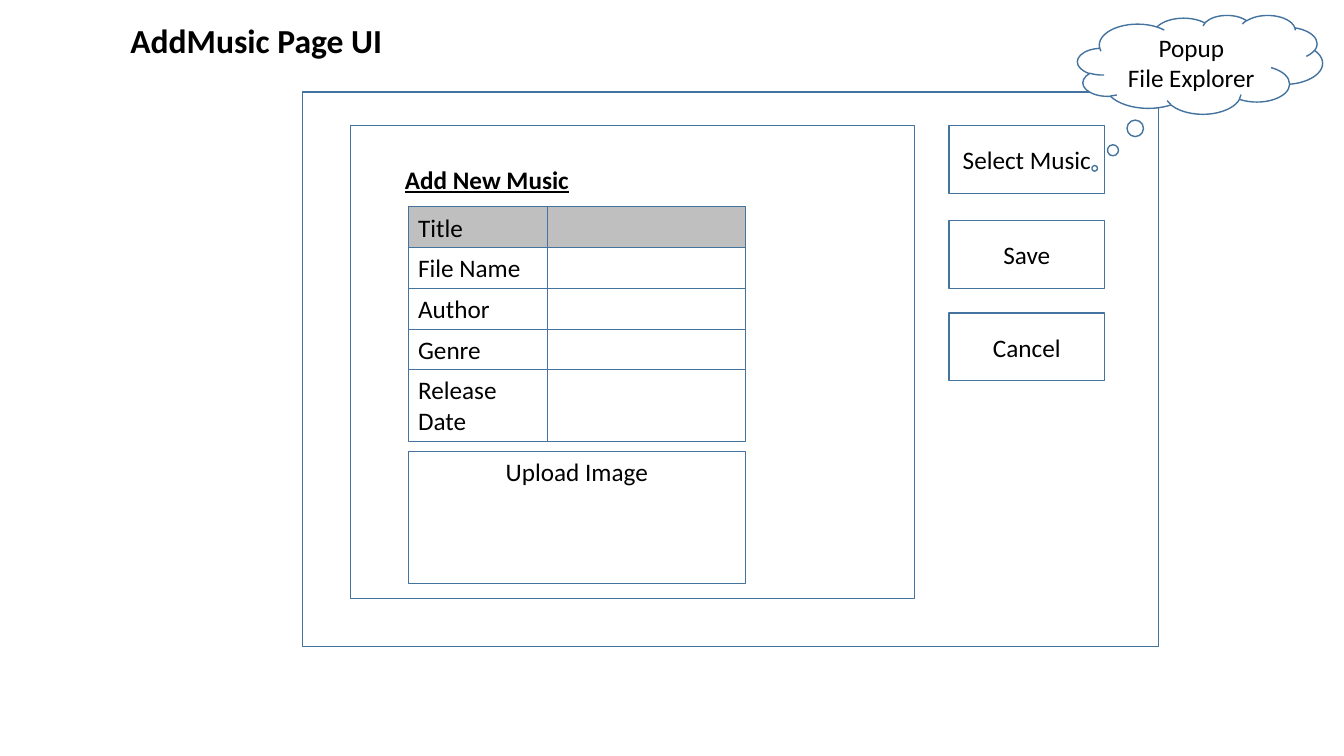
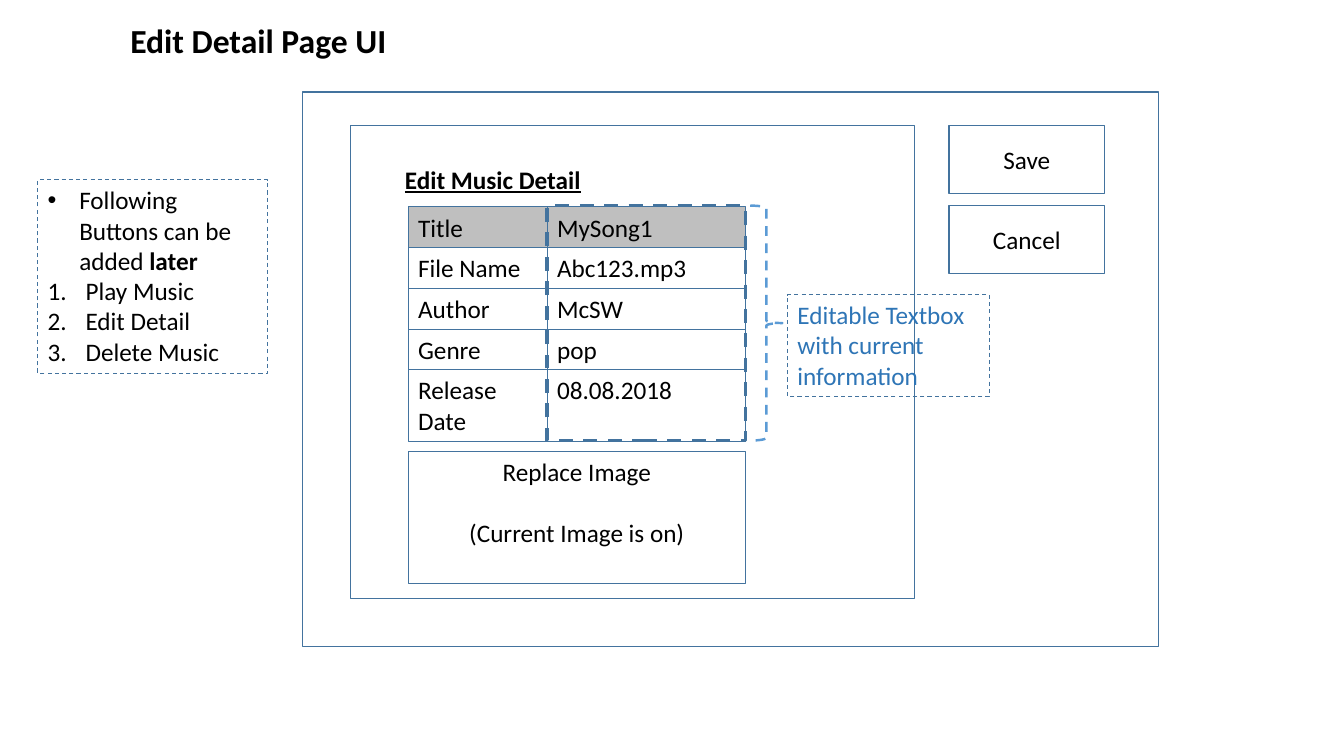
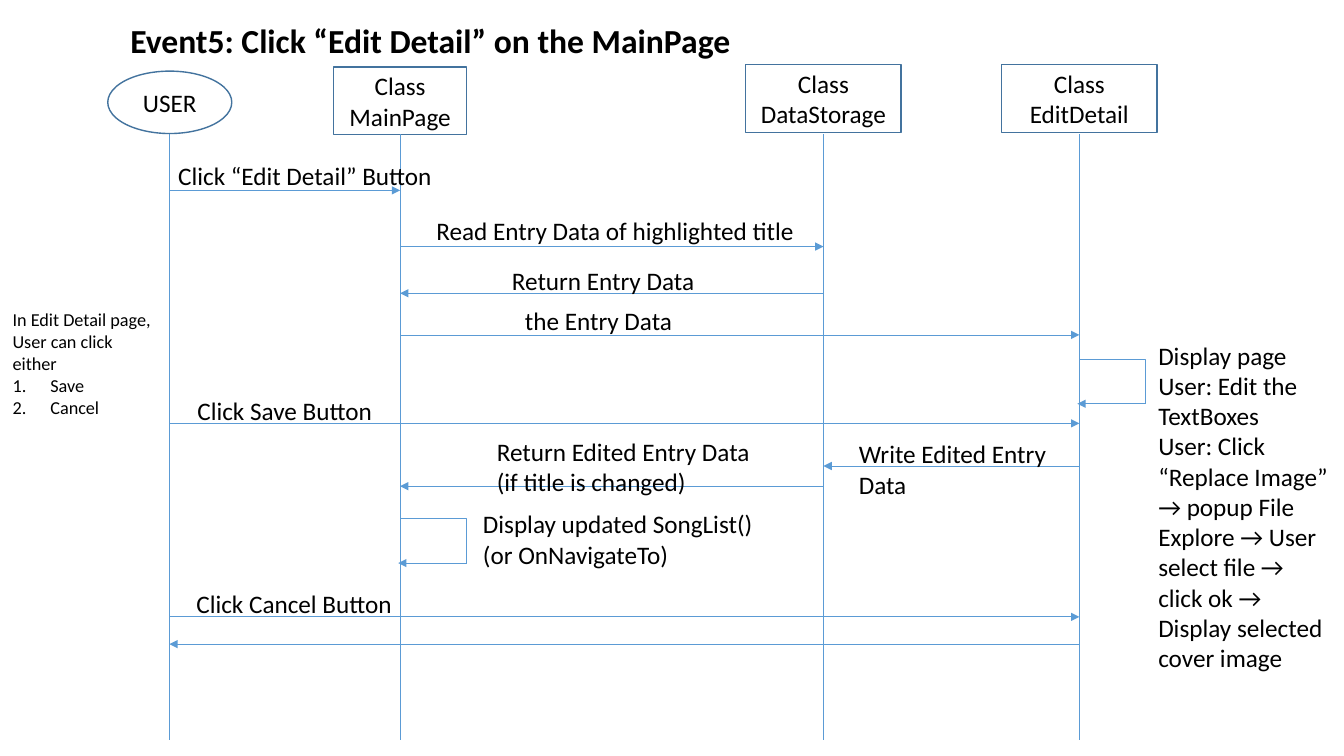
from pptx import Presentation
from pptx.dml.color import RGBColor
from pptx.enum.dml import MSO_LINE
from pptx.enum.shapes import MSO_CONNECTOR, MSO_SHAPE
from pptx.enum.text import MSO_ANCHOR, PP_ALIGN
from pptx.oxml.ns import qn
from pptx.util import Pt
from lxml import etree

BLACK = RGBColor(0x00, 0x00, 0x00)
WHITE = RGBColor(0xFF, 0xFF, 0xFF)
GREY = RGBColor(0xBF, 0xBF, 0xBF)
OUTLINE = RGBColor(0x43, 0x73, 0x9E)
ARROW_BLUE = RGBColor(0x5B, 0x9B, 0xD5)
HINT_BLUE = RGBColor(0x2E, 0x75, 0xB6)
FONT = "Calibri"

# Shared page mock-up measures
BUTTON_LEFT, BUTTON_W, BUTTON_H = 678, 111, 48.4
FORM_LEFT, FORM_TOP = 291.6, 147.8
LABEL_W, VALUE_W = 99.2, 141.6
ROW_H, LAST_ROW_H = 29.1, 50.9
FIELDS = ["Title", "File Name", "Author", "Genre", "Release Date"]

# Sequence diagram measures
USER, MAIN, STORAGE, EDIT = 121, 285.8, 588.2, 771
LIFELINE_TOP, LIFELINE_BOTTOM = 96, 528.5
LOOP_W, LOOP_H = 47.5, 32


# Text
def style_run(run, size=18, color=BLACK, bold=False, underline=False):
    font = run.font
    font.name, font.size, font.bold, font.underline = FONT, Pt(size), bold, underline
    font.color.rgb = color


def write(frame, lines, align=PP_ALIGN.LEFT, anchor=MSO_ANCHOR.TOP, **style):
    frame.word_wrap = True
    frame.vertical_anchor = anchor
    for i, line in enumerate(lines):
        paragraph = frame.paragraphs[0] if i == 0 else frame.add_paragraph()
        paragraph.alignment = align
        run = paragraph.add_run()
        run.text = line
        style_run(run, **style)
    return frame.paragraphs


def add_bullet(paragraph, indent, tag, **attributes):
    properties = paragraph._p.get_or_add_pPr()
    properties.set("marL", str(Pt(indent)))
    properties.set("indent", str(-Pt(indent)))
    if tag == "a:buChar":
        etree.SubElement(properties, qn("a:buFont"), typeface="Arial")
    etree.SubElement(properties, qn(tag), **attributes)


def number(paragraphs):
    for paragraph in paragraphs:
        add_bullet(paragraph, 27, "a:buAutoNum", type="arabicPeriod")


def add_text(slide, left, top, width, height, lines, **style):
    box = slide.shapes.add_textbox(Pt(left), Pt(top), Pt(width), Pt(height))
    return write(box.text_frame, lines, **style)


def add_title(slide, text):
    add_text(slide, 86, 10.8, 520, 36, [text], size=24, bold=True)


# Shapes and lines
def add_outline(slide, left, top, width, height, kind=MSO_SHAPE.RECTANGLE,
                weight=1, color=OUTLINE, dashed=False, fill=None):
    shape = slide.shapes.add_shape(kind, Pt(left), Pt(top), Pt(width), Pt(height))
    shape.shadow.inherit = False
    if fill is None:
        shape.fill.background()
    else:
        shape.fill.solid()
        shape.fill.fore_color.rgb = fill
    shape.line.color.rgb = color
    shape.line.width = Pt(weight)
    if dashed:
        shape.line.dash_style = MSO_LINE.DASH
    return shape


def add_node(slide, left, top, width, height, lines, **look):
    shape = add_outline(slide, left, top, width, height, **look)
    write(shape.text_frame, lines, PP_ALIGN.CENTER, MSO_ANCHOR.MIDDLE)
    return shape


def add_line(slide, x1, y1, x2, y2, arrow=False, kind=MSO_CONNECTOR.STRAIGHT):
    line = slide.shapes.add_connector(kind, Pt(x1), Pt(y1), Pt(x2), Pt(y2))
    line.line.color.rgb = ARROW_BLUE
    line.line.width = Pt(0.5)
    if arrow:
        etree.SubElement(line.line._get_or_add_ln(), qn("a:tailEnd"), type="triangle")
    etree.SubElement(line._element.spPr, qn("a:effectLst"))
    return line


def add_self_call(slide, x, top):
    right, bottom = x + LOOP_W, top + LOOP_H
    elbow = add_line(slide, x, top, right, bottom, kind=MSO_CONNECTOR.ELBOW)
    guides = elbow._element.spPr.find(qn("a:prstGeom")).get_or_add_avLst()
    etree.SubElement(guides, qn("a:gd"), name="adj1", fmla="val 100000")
    add_line(slide, right, bottom, x - 1.4, bottom, arrow=True)


# Page mock-up
def add_form(slide, values):
    for i, (label, value) in enumerate(zip(FIELDS, values)):
        height = LAST_ROW_H if label == FIELDS[-1] else ROW_H
        for left, width, text in [(FORM_LEFT, LABEL_W, label),
                                  (FORM_LEFT + LABEL_W, VALUE_W, value)]:
            field = add_outline(slide, left, FORM_TOP + i * ROW_H, width, height,
                                weight=0.75, fill=GREY if i == 0 else None)
            if text:
                write(field.text_frame, [text])


def add_page_mockup(slide, title, heading, values, image_lines, buttons):
    add_title(slide, title)
    add_outline(slide, 216, 65.8, 611.5, 396)
    add_outline(slide, 250.4, 89.8, 402.7, 337.7)
    add_text(slide, 282.2, 113.8, 247.7, 28.8, [heading], bold=True, underline=True)
    add_form(slide, values)
    image_area = add_outline(slide, FORM_LEFT, 322.6, LABEL_W + VALUE_W, 94.3, weight=0.75)
    for line in write(image_area.text_frame, image_lines, PP_ALIGN.CENTER)[1:]:
        line.space_before = Pt(21.6)
    for label, top in buttons:
        add_node(slide, BUTTON_LEFT, top, BUTTON_W, BUTTON_H, [label])


# Slides
def build_add_music(slide):
    add_page_mockup(slide, "AddMusic Page UI", "Add New Music", [""] * len(FIELDS),
                    ["Upload Image"],
                    [("Select Music", 89.8), ("Save", 157.7), ("Cancel", 223.6)])
    popup = add_node(slide, 769.7, 10.8, 175, 70.6, ["Popup", "File Explorer"],
                     kind=MSO_SHAPE.CLOUD_CALLOUT, fill=WHITE)
    popup.adjustments[0], popup.adjustments[1] = -0.43, 1.05


def build_edit_detail(slide):
    add_page_mockup(slide, "Edit Detail Page UI", "Edit Music Detail",
                    ["MySong1", "Abc123.mp3", "McSW", "pop", "08.08.2018"],
                    ["Replace Image", "(Current Image is on)"],
                    [("Save", 89.8), ("Cancel", 146.9)])

    # Note on later buttons
    note = add_outline(slide, 27, 128.4, 164.2, 138.2, weight=0.75, dashed=True)
    lines = write(note.text_frame, ["Following Buttons can be added ", "Play Music",
                                    "Edit Detail", "Delete Music"])
    later = lines[0].add_run()
    later.text = "later"
    style_run(later, bold=True)
    add_bullet(lines[0], 22.5, "a:buChar", char="•")
    number(lines[1:])

    # Editable area and its hint
    add_outline(slide, 535.9, 146.9, 23, 167.8, kind=MSO_SHAPE.RIGHT_BRACE,
                weight=1.75, color=ARROW_BLUE, dashed=True)
    hint = add_outline(slide, 562.5, 210.4, 144, 72.7, weight=0.75, dashed=True)
    write(hint.text_frame, ["Editable Textbox with current information"], color=HINT_BLUE)
    add_outline(slide, FORM_LEFT + LABEL_W, 146.9, VALUE_W, 167.8, weight=2.5, dashed=True)


def build_sequence(slide):
    add_title(slide, "Event5: Click “Edit Detail” on the MainPage")

    # Participants
    add_node(slide, 77, 50.8, 88.6, 44.6, ["USER"], kind=MSO_SHAPE.OVAL)
    for x, top, width, name in [(MAIN, 47.9, 95, "MainPage"),
                                (STORAGE, 46.1, BUTTON_W, "DataStorage"),
                                (EDIT, 46.1, BUTTON_W, "EditDetail")]:
        add_node(slide, x - width / 2, top, width, BUTTON_H, ["Class", name])
    for x in (USER, MAIN, STORAGE, EDIT):
        add_line(slide, x, LIFELINE_TOP, x, LIFELINE_BOTTOM)

    # Messages: sender, receiver, height
    for sender, receiver, y in [
            (USER, MAIN, 136), (MAIN, STORAGE, 176.1), (STORAGE, MAIN, 209.5),
            (MAIN, EDIT, 239.2), (USER, EDIT, 302.4), (EDIT, STORAGE, 332.9),
            (STORAGE, MAIN, 347.3), (USER, EDIT, 440.6), (EDIT, USER, 460.1)]:
        add_line(slide, sender, y, receiver, y, arrow=True)
    add_self_call(slide, MAIN, 370.2)
    add_self_call(slide, EDIT, 256.4)

    # Labels: left, top, width, lines
    for left, top, width, lines in [
            (120.2, 111.3, 200.2, ["Click “Edit Detail” Button"]),
            (304.6, 150.5, 282, ["Read Entry Data of highlighted title"]),
            (358.6, 186.2, 180, ["Return Entry Data"]),
            (367.9, 214.9, 180, ["the Entry Data"]),
            (133.9, 278.9, 217.4, ["Click Save Button"]),
            (606.4, 309.9, 158.4, ["Write Edited Entry Data"]),
            (347.8, 308.2, 200.2, ["Return Edited Entry Data (if title is changed)"]),
            (337.9, 359.9, 218.2, ["Display updated SongList()", "(or OnNavigateTo)"]),
            (133.2, 416.5, 217.4, ["Click Cancel Button"]),
            (820.3, 239.3, 138, [
                "Display page", "User: Edit the TextBoxes",
                "User: Click “Replace Image” → popup File Explore → User select file "
                "→ click ok → Display selected cover image"])]:
        add_text(slide, left, top, width, 28.8 if len(lines) < 3 else 269.3, lines)

    choices = add_text(slide, 1.9, 216.7, 118, 85.7,
                       ["In Edit Detail page, User can click either", "Save", "Cancel"],
                       size=13)
    number(choices[1:])


def main():
    deck = Presentation()
    deck.slide_width, deck.slide_height = Pt(960), Pt(540)
    for build in (build_add_music, build_edit_detail, build_sequence):
        build(deck.slides.add_slide(deck.slide_layouts[6]))
    deck.save("out.pptx")


main()
